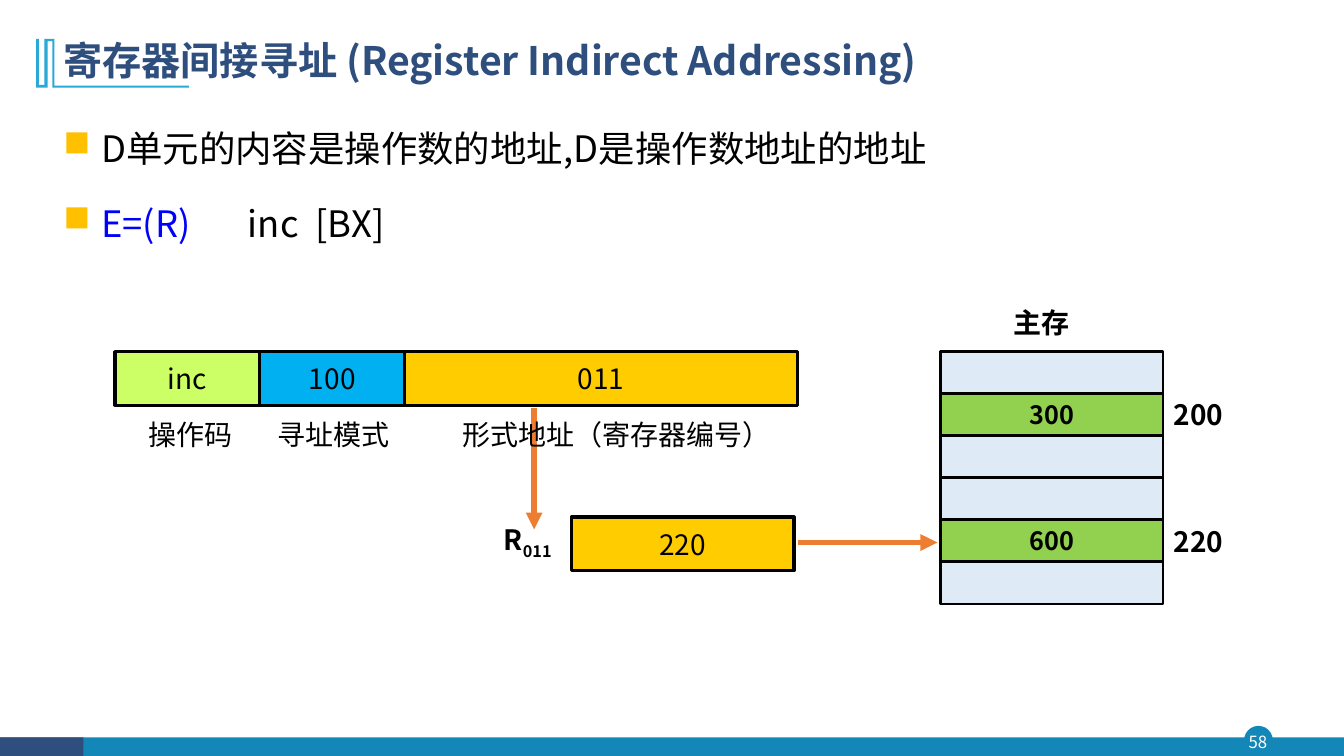
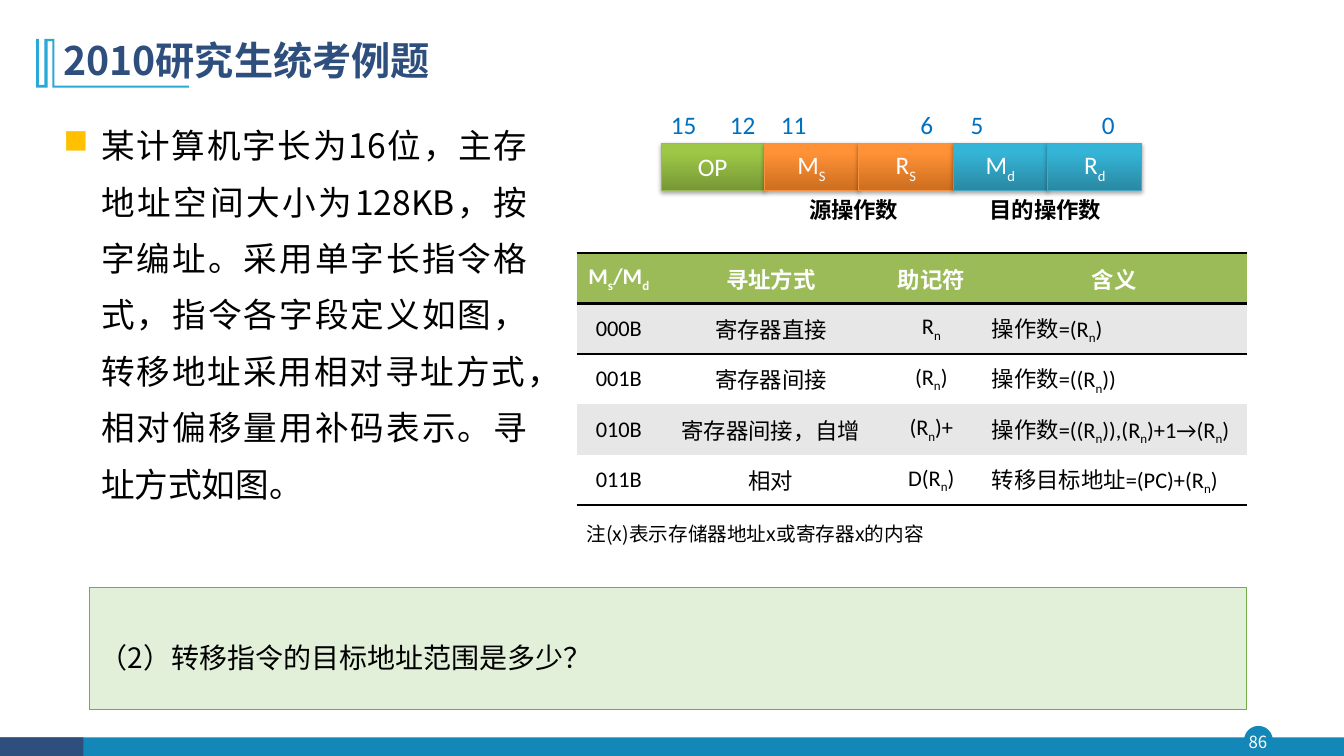
"""Build two lecture slides on addressing modes and save them as out.pptx."""
import pptx
import pptx.dml.color
import pptx.enum.shapes
import pptx.enum.text
import pptx.oxml.ns
import pptx.util
from lxml import etree

Cm, Pt = pptx.util.Cm, pptx.util.Pt
RGBColor = pptx.dml.color.RGBColor
qn = pptx.oxml.ns.qn
PRESET = pptx.enum.shapes.MSO_SHAPE
ALIGN = pptx.enum.text.PP_ALIGN
MIDDLE = pptx.enum.text.MSO_ANCHOR.MIDDLE

NOTO, CALIBRI = "Noto Sans CJK SC", "Calibri"
BLACK = RGBColor(0x00, 0x00, 0x00)
WHITE = RGBColor(0xFF, 0xFF, 0xFF)
NAVY = RGBColor(0x2E, 0x4E, 0x7E)
TEAL = RGBColor(0x13, 0x87, 0xB7)
SKY = RGBColor(0x28, 0xA9, 0xD6)
BLUE = RGBColor(0x00, 0x00, 0xFF)
BIT_BLUE = RGBColor(0x00, 0x70, 0xC0)
ARROW = RGBColor(0xED, 0x7D, 0x31)
BULLET = RGBColor(0xFF, 0xC0, 0x00)
LIME = RGBColor(0xCC, 0xFF, 0x66)
CYAN = RGBColor(0x00, 0xB0, 0xF0)
GOLD = RGBColor(0xFF, 0xCC, 0x00)
PALE_BLUE = RGBColor(0xDE, 0xEB, 0xF7)
CELL_GREEN = RGBColor(0x92, 0xD0, 0x50)
HEAD_GREEN = RGBColor(0x9B, 0xBB, 0x59)
BAND_GRAY = RGBColor(0xE7, 0xE7, 0xE7)
PALE_GREEN = RGBColor(0xE2, 0xF0, 0xD9)
EDGE_GREEN = RGBColor(0x70, 0xAD, 0x47)
GREENS = [RGBColor.from_string(c) for c in ("779737", "9DC746", "98B955")]
ORANGES = [RGBColor.from_string(c) for c in ("CC6E20", "FF9136", "F69240")]
AQUAS = [RGBColor.from_string(c) for c in ("2A88A2", "34B4D6", "46AAC5")]


def write(paragraph, text, size, color=BLACK, bold=False, align=ALIGN.CENTER, latin=NOTO):
    """Fill a paragraph; every second piece between bars is a subscript."""
    paragraph.alignment = align
    font = paragraph.font
    font.size, font.bold, font.name = Pt(size), bold, latin
    font.color.rgb = color
    etree.SubElement(font._element, qn("a:ea"), typeface=NOTO)
    for index, piece in enumerate(text.split("|")):
        if piece:
            run = paragraph.add_run()
            run.text = piece
            if index % 2:
                run.font._element.set("baseline", "-25000")


def box(slide, x, y, w, h, fill=None, line=None, weight=1, preset=PRESET.RECTANGLE):
    """Add a filled shape, or a plain text box when there is no fill."""
    place = Cm(x), Cm(y), Cm(w), Cm(h)
    if fill is None:
        shape = slide.shapes.add_textbox(*place)
    else:
        shape = slide.shapes.add_shape(preset, *place)
        shape.shadow.inherit = False
        shape.fill.solid()
        shape.fill.fore_color.rgb = fill
        if line is None:
            shape.line.fill.background()
        else:
            shape.line.color.rgb, shape.line.width = line, Pt(weight)
    shape.text_frame.word_wrap = True
    shape.text_frame.vertical_anchor = MIDDLE
    return shape


deck = pptx.Presentation()
deck.slide_width, deck.slide_height = Cm(33.87), Cm(19.05)

ACCENT = [(137, 98), (137, 216), (476, 216), (476, 221), (132, 221), (132, 104), (120, 104),
          (120, 221), (91, 221), (91, 98), (98, 98), (98, 214), (112, 214), (112, 98)]
pages = [
    ("58", "寄存器间接寻址 (Register Indirect Addressing)", 29.21, 26,
     ["D单元的内容是操作数的地址,D是操作数地址的地址", "E=(R)"]),
    ("86", "2010研究生统考例题", 12.19, 24,
     ["某计算机字长为16位，主存地址空间大小为128KB，按字编址。采用单字长指令格式，"
      "指令各字段定义如图，转移地址采用相对寻址方式，相对偏移量用补码表示。寻址方式如图。"]),
]
slides, bodies = [], []
for number, title, body_width, body_size, points in pages:
    slide = deck.slides.add_slide(deck.slide_layouts[6])
    box(slide, 31.37, 18.31, 0.69, 0.69, TEAL, TEAL, preset=PRESET.OVAL)
    box(slide, 0, 18.58, 33.87, 0.47, TEAL)
    box(slide, 0, 18.58, 2.1, 0.47, NAVY)
    page_number = box(slide, 30.95, 18.31, 1.5, 0.79)
    write(page_number.text_frame.paragraphs[0], number, 12, WHITE)

    outline = slide.shapes.build_freeform(*ACCENT[0], scale=Cm(0.01))
    outline.add_line_segments(ACCENT[1:])
    accent = outline.convert_to_shape()
    accent.shadow.inherit = False
    accent.fill.solid()
    accent.fill.fore_color.rgb = SKY
    accent.line.fill.background()

    heading = box(slide, 1.35, 0.71, 29.21, 1.73).text_frame.paragraphs[0]
    heading.line_spacing = 0.9
    write(heading, title, 28, NAVY, True, ALIGN.LEFT)

    body = box(slide, 1.35, 2.62, body_width, 4.42).text_frame
    body.vertical_anchor = pptx.enum.text.MSO_ANCHOR.TOP
    for index, point in enumerate(points):
        paragraph = body.paragraphs[0] if index == 0 else body.add_paragraph()
        paragraph.line_spacing = 1.4
        if index:
            paragraph.space_before = Pt(10)
        props = paragraph._p.get_or_add_pPr()
        props.set("marL", str(Cm(0.95)))
        props.set("indent", str(-Cm(0.95)))
        etree.SubElement(etree.SubElement(props, qn("a:buClr")), qn("a:srgbClr"), val=str(BULLET))
        etree.SubElement(props, qn("a:buChar"), char="■")
        if index:
            tabs = etree.SubElement(props, qn("a:tabLst"))
            for stop in (4.65, 6.35):
                etree.SubElement(tabs, qn("a:tab"), pos=str(Cm(stop)), algn="l")
        write(paragraph, point, body_size, BLUE if index else BLACK, align=ALIGN.JUSTIFY)
    slides.append(slide)
    bodies.append(body)

indirect, exam = slides
example = bodies[0].paragraphs[1].add_run()
example.text = "\tinc\t[BX]"
example.font.color.rgb = BLACK

for x1, y1, x2, y2 in [(20.1, 13.67, 23.62, 13.67), (13.46, 10.29, 13.46, 13.34)]:
    arrow = indirect.shapes.add_connector(
        pptx.enum.shapes.MSO_CONNECTOR.STRAIGHT, Cm(x1), Cm(y1), Cm(x2), Cm(y2))
    arrow.line.color.rgb, arrow.line.width = ARROW, Pt(4)
    etree.SubElement(arrow.line._get_or_add_ln(), qn("a:tailEnd"), type="triangle")
    etree.SubElement(arrow._element.spPr, qn("a:effectLst"))

for x, y, w, fill, value in [(2.9, 8.86, 3.65, LIME, "inc"), (6.55, 8.86, 3.65, CYAN, "100"),
                             (10.2, 8.86, 9.9, GOLD, "011"), (14.4, 13.03, 5.61, GOLD, "220")]:
    field = box(indirect, x, y, w, 1.35, fill, BLACK, 2.25)
    write(field.text_frame.paragraphs[0], value, 20)

MEMORY_TOP, CELL_HEIGHT = 8.86, 1.06
memory = [("", ""), ("300", "200"), ("", ""), ("", ""), ("600", "220"), ("", "")]
for row, (value, address) in enumerate(memory):
    top = MEMORY_TOP + row * CELL_HEIGHT
    cell = box(indirect, 23.7, top, 5.61, CELL_HEIGHT, CELL_GREEN if value else PALE_BLUE, BLACK, 2)
    if value:
        write(cell.text_frame.paragraphs[0], value, 18, bold=True)
        label = box(indirect, 29.2, top, 2, CELL_HEIGHT)
        write(label.text_frame.paragraphs[0], address, 20, bold=True)

for center, y, w, text, bold in [(4.81, 10.39, 3, "操作码", False), (8.41, 10.39, 4, "寻址模式", False),
                                 (15.54, 10.39, 9.6, "形式地址（寄存器编号）", False),
                                 (26.24, 7.57, 3, "主存", True), (13.3, 13.08, 3, "R|011", True)]:
    label = box(indirect, center - w / 2, y, w, 1.12)
    write(label.text_frame.paragraphs[0], text, 20, bold=bold)

left = 16.66
for text, width, (dark, light, edge) in [("OP", 2.6, GREENS), ("M|S", 2.38, ORANGES), ("R|S", 2.38, ORANGES),
                                         ("M|d", 2.38, AQUAS), ("R|d", 2.38, AQUAS)]:
    field = box(exam, left, 3.61, width, 1.19, light, edge, 0.75)
    field.fill.gradient()
    field.fill.gradient_angle = 90
    for stop, color, position in zip(field.fill.gradient_stops, (dark, light), (0, 0.8)):
        stop.color.rgb, stop.position = color, position
    effects = field._element.spPr.find(qn("a:effectLst"))
    shadow = etree.SubElement(effects, qn("a:outerShdw"), blurRad=str(Pt(3.1)), dist=str(Pt(1.8)),
                              dir="5400000", rotWithShape="0")
    shade = etree.SubElement(shadow, qn("a:srgbClr"), val=str(BLACK))
    etree.SubElement(shade, qn("a:alpha"), val="35000")
    write(field.text_frame.paragraphs[0], text, 18, WHITE, latin=CALIBRI)
    left += width

for x, w, high, low, stop in [(16.66, 3.18, "15", "12", 2.13), (19.43, 4.57, "11", "6", 3.84),
                              (24.21, 4.57, "5", "0", 3.63)]:
    bits = box(exam, x, 2.62, w, 1.02).text_frame.paragraphs[0]
    tabs = etree.SubElement(bits._p.get_or_add_pPr(), qn("a:tabLst"))
    etree.SubElement(tabs, qn("a:tab"), pos=str(Cm(stop)), algn="r")
    write(bits, f"{high}\t{low}", 18, BIT_BLUE, align=ALIGN.LEFT, latin=CALIBRI)

for x, y, w, text, size, bold in [(20.14, 4.8, 3.5, "源操作数", 16, True), (24.69, 4.8, 4, "目的操作数", 16, True),
                                  (14.53, 12.98, 12.7, "注(x)表示存储器地址x或寄存器x的内容", 14, False)]:
    note = box(exam, x, y, w, 0.94)
    write(note.text_frame.paragraphs[0], text, size, bold=bold, align=ALIGN.LEFT)

modes = [
    ("M|s|/M|d", "寻址方式", "助记符", "含义"),
    ("000B", "寄存器直接", "R|n", "操作数=(R|n|)"),
    ("001B", "寄存器间接", "(R|n|)", "操作数=((R|n|))"),
    ("010B", "寄存器间接，自增", "(R|n|)+", "操作数=((R|n|)),(R|n|)+1→(R|n|)"),
    ("011B", "相对", "D(R|n|)", "转移目标地址=(PC)+(R|n|)"),
]
table = exam.shapes.add_table(5, 4, Cm(14.53), Cm(6.38), Cm(16.89), Cm(6.35)).table
table._tbl.tblPr.find(qn("a:tableStyleId")).text = "{2D5ABB26-0587-4C30-8999-92F81FD0307C}"
for column, width in zip(table.columns, (2.13, 5.54, 2.54, 6.68)):
    column.width = Cm(width)
for r, texts in enumerate(modes):
    table.rows[r].height = Cm(1.27)
    for c, text in enumerate(texts):
        cell = table.cell(r, c)
        cell.vertical_anchor = MIDDLE
        header = r == 0
        for edge in {0: ("a:lnT", "a:lnB"), 1: ("a:lnT",), 4: ("a:lnB",)}.get(r, ()):
            border = etree.SubElement(cell._tc.get_or_add_tcPr(), qn(edge), w=str(Pt(2)))
            etree.SubElement(etree.SubElement(border, qn("a:solidFill")), qn("a:srgbClr"), val=str(BLACK))
        cell.fill.solid()
        cell.fill.fore_color.rgb = HEAD_GREEN if header else BAND_GRAY if r % 2 else WHITE
        write(cell.text_frame.paragraphs[0], text, 16, WHITE if header else BLACK, header,
              ALIGN.LEFT if c == 3 and not header else ALIGN.CENTER, CALIBRI)

question = box(exam, 2.26, 14.81, 29.16, 3.07, PALE_GREEN, EDGE_GREEN, 0.5).text_frame.paragraphs[0]
question.line_spacing = 1.5
write(question, "（2）转移指令的目标地址范围是多少？", 20, align=ALIGN.LEFT)

deck.save("out.pptx")
